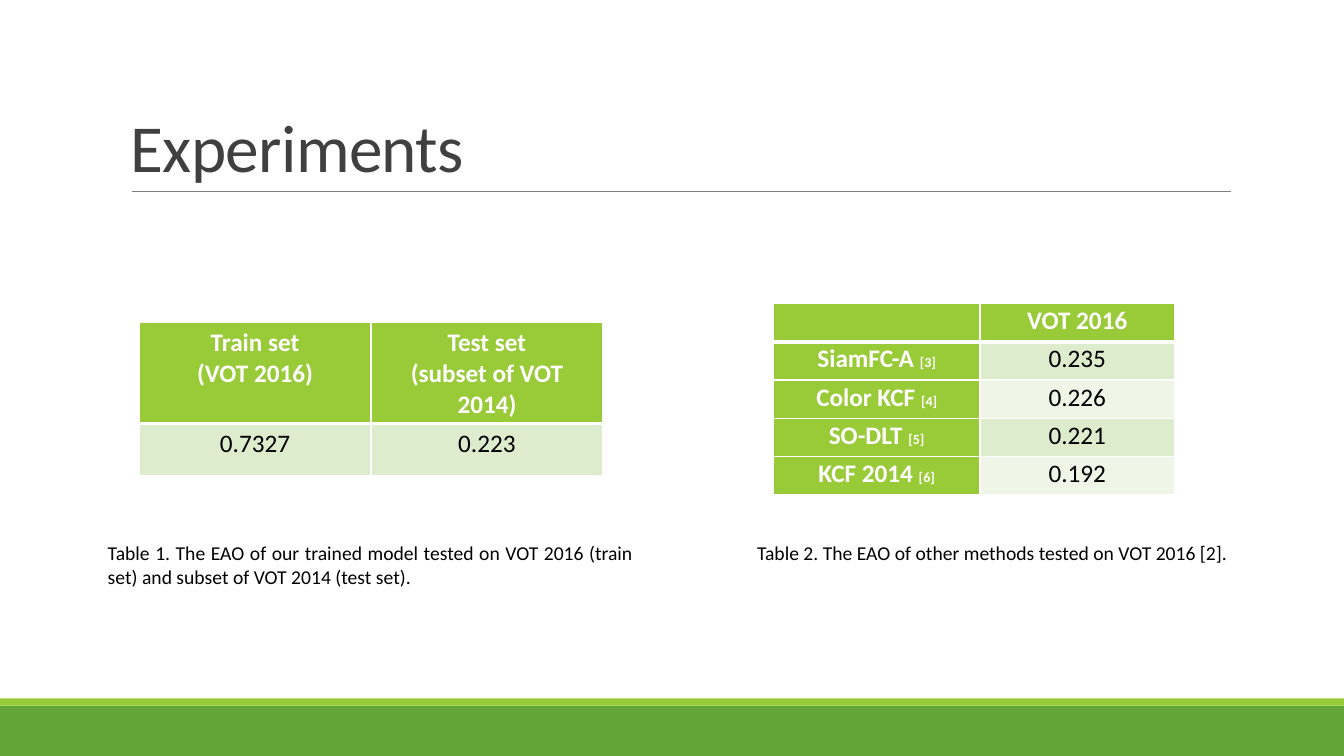
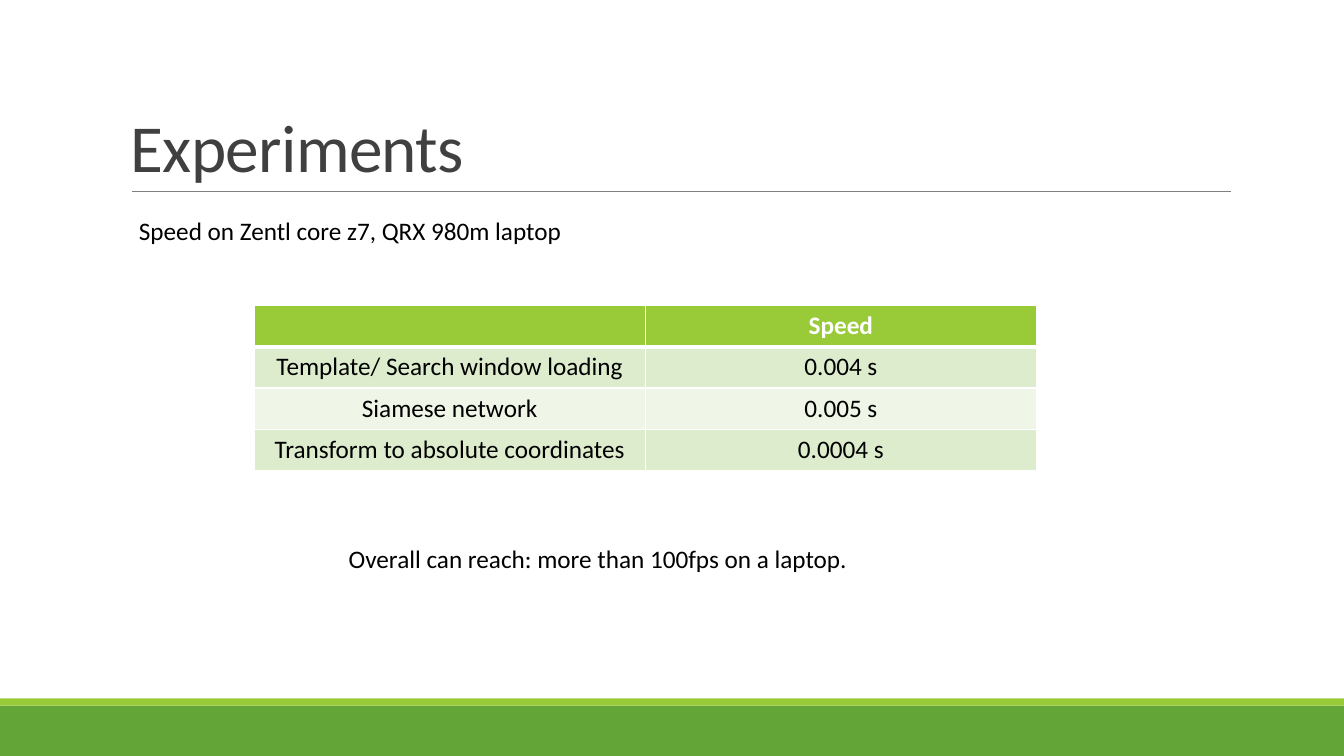
"""Build two slides of tracking experiments with result tables."""
from lxml.etree import SubElement
from pptx import Presentation
from pptx.dml.color import RGBColor
from pptx.enum.shapes import MSO_CONNECTOR, MSO_SHAPE
from pptx.enum.text import MSO_ANCHOR, PP_ALIGN
from pptx.oxml.ns import qn
from pptx.util import Inches, Pt

theme = {
    "font": "Calibri",
    "green": "63A537", "lime": "99CB38", "rule": "808080",
    "title": "404040", "ink": "000000", "white": "FFFFFF",
    "bands": ["EFF6E8", "DEECCE"],
    "head": 48, "body": 18, "note": 14, "cite": 10,
}


def write(frame, text, size, color, bold=False, **format):
    """Fill a frame; a newline starts a paragraph, a bar a small citation."""
    for i, line in enumerate(text.split("\n")):
        para = frame.paragraphs[0] if i == 0 else frame.add_paragraph()
        for key, value in format.items():
            setattr(para, key, value)
        for part, points in zip(line.split("|"), (size, theme["cite"])):
            run = para.add_run()
            run.text = part
            look = {"name": theme["font"], "size": Pt(points), "bold": bold}
            for key, value in look.items():
                setattr(run.font, key, value)
            run.font.color.rgb = RGBColor.from_string(color)


def border(cell, **widths):
    """Draw white cell borders of the given widths in points."""
    props = cell._tc.get_or_add_tcPr()
    for side in "LRTB":
        edge = SubElement(props, qn(f"a:ln{side}"), w=str(Pt(widths.get(side, 1))))
        fill = SubElement(edge, qn("a:solidFill"))
        SubElement(fill, qn("a:srgbClr"), val=theme["white"])


tight = {"margin_left": Inches(0.07), "margin_right": Inches(0.07),
         "margin_top": 0, "margin_bottom": 0}

pages = [
    {
        "tables": [
            {"at": (1.38, 3.2), "cols": [2.3, 2.3], "rows": [1, 0.52],
             "cells": [["Train set\n(VOT 2016)", "Test set\n(subset of VOT 2014)"],
                       ["0.7327", "0.223"]]},
            {"at": (7.67, 3.01), "cols": [2.05, 1.93], "rows": [0.38] * 5,
             "side": True, "inset": tight, "format": {"line_spacing": 1.07},
             "cells": [["", "VOT 2016"],
                       ["SiamFC-A |[3]", "0.235"],
                       ["Color KCF |[4]", "0.226"],
                       ["SO-DLT |[5]", "0.221"],
                       ["KCF 2014 |[6]", "0.192"]]},
        ],
        "texts": [
            ((0.97, 5.32, 5.41, 0.88), "note", PP_ALIGN.JUSTIFY,
             "Table 1. The EAO of our trained model tested on VOT 2016 (train set) "
             "and subset of VOT 2014 (test set)."),
            ((7.41, 5.32, 4.95, 0.34), "note", PP_ALIGN.LEFT,
             "Table 2. The EAO of other methods tested on VOT 2016 [2]."),
        ],
    },
    {
        "tables": [
            {"at": (2.52, 3.03), "cols": [3.88, 3.88], "rows": [0.41] * 4,
             "cells": [["", "Speed"],
                       ["Template/ Search window loading", "0.004 s"],
                       ["Siamese network", "0.005 s"],
                       ["Transform to absolute coordinates", "0.0004 s"]]},
        ],
        "texts": [
            ((1.28, 2.09, 10.83, 0.4), "body", PP_ALIGN.LEFT,
             "Speed on Zentl core z7, QRX 980m laptop"),
            ((3.36, 5.34, 6.66, 0.4), "body", PP_ALIGN.LEFT,
             "Overall can reach: more than 100fps on a laptop."),
        ],
    },
]

deck = Presentation()
deck.slide_width, deck.slide_height = Inches(13.33), Inches(7.5)

for page in pages:
    slide = deck.slides.add_slide(deck.slide_layouts[6])
    shapes = slide.shapes

    for top, height, color in ((7, 0.5, "green"), (6.93, 0.07, "lime")):
        band = shapes.add_shape(MSO_SHAPE.RECTANGLE, 0, Inches(top),
                                deck.slide_width, Inches(height))
        band.shadow.inherit = False
        band.fill.solid()
        band.fill.fore_color.rgb = RGBColor.from_string(theme[color])
        band.line.fill.background()

    rule = shapes.add_connector(MSO_CONNECTOR.STRAIGHT, Inches(1.31), Inches(1.9),
                                Inches(12.21), Inches(1.9))
    rule.line.color.rgb = RGBColor.from_string(theme["rule"])
    rule.line.width = Pt(0.5)
    SubElement(rule._element.spPr, qn("a:effectLst"))

    title = shapes.add_textbox(*map(Inches, (1.2, 0.31, 11, 1.59))).text_frame
    title.word_wrap = True
    title.vertical_anchor = MSO_ANCHOR.BOTTOM
    write(title, "Experiments", theme["head"], theme["title"], line_spacing=0.85)
    title.paragraphs[0].runs[0]._r.get_or_add_rPr().set("spc", "-50")

    for data in page["tables"]:
        cols, rows = data["cols"], data["rows"]
        size = sum(cols), sum(rows)
        grid = shapes.add_table(len(rows), len(cols),
                                *map(Inches, data["at"] + size)).table
        for col, width in zip(grid.columns, cols):
            col.width = Inches(width)
        for row, height in zip(grid.rows, rows):
            row.height = Inches(height)
        for r, line in enumerate(data["cells"]):
            for c, text in enumerate(line):
                cell = grid.cell(r, c)
                head = r == 0 or (c == 0 and data.get("side", False))
                for key, value in data.get("inset", {}).items():
                    setattr(cell, key, value)
                border(cell, T=3 if r == 1 else 1, B=3 if r == 0 else 1)
                cell.fill.solid()
                cell.fill.fore_color.rgb = RGBColor.from_string(
                    theme["lime"] if head else theme["bands"][r % 2])
                if text:
                    write(cell.text_frame, text, theme["body"],
                          theme["white" if head else "ink"], head,
                          alignment=PP_ALIGN.CENTER, **data.get("format", {}))

    for place, size, align, text in page["texts"]:
        frame = shapes.add_textbox(*map(Inches, place)).text_frame
        frame.word_wrap = True
        write(frame, text, theme[size], theme["ink"], alignment=align)

deck.save("out.pptx")
